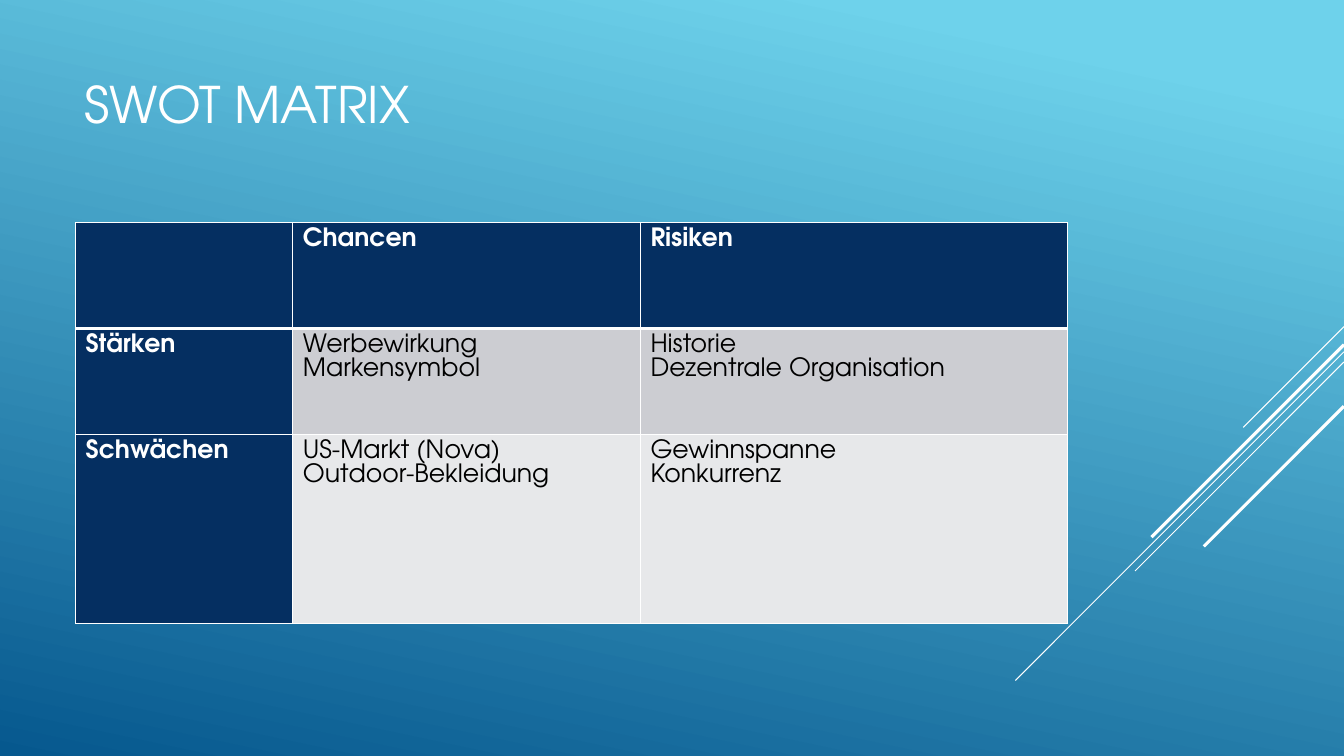
from lxml import etree
from pptx import Presentation
from pptx.dml.color import RGBColor
from pptx.enum.shapes import MSO_CONNECTOR
from pptx.enum.text import MSO_ANCHOR, MSO_AUTO_SIZE, PP_ALIGN
from pptx.oxml.ns import qn
from pptx.util import Pt

STRAIGHT = MSO_CONNECTOR.STRAIGHT
MIDDLE = MSO_ANCHOR.MIDDLE
NO_AUTOFIT = MSO_AUTO_SIZE.NONE
LEFT = PP_ALIGN.LEFT

FONT = "TeX Gyre Adventor"
WHITE, BLACK, NAVY = "FFFFFF", "000000", "052F61"
ROW_FILLS = [NAVY, "CCCDD2", "E7E8EA"]
SLIDE_WIDTH, SLIDE_HEIGHT = 960, 540

DIAGONALS = [
    (233.3, 72, 0.75),
    (251.3, 234.7, 0.75),
    (258.6, 149.2, 0.75),
    (246.2, 137.5, 2.25),
    (290.2, 100.1, 2.25),
]
COLUMN_WIDTHS = [155.2, 248.3, 305]
ROW_HEIGHTS = [75.6, 75.6, 135.2]
SWOT = [
    ["", "Chancen", "Risiken"],
    ["Stärken", "Werbewirkung\nMarkensymbol", "Historie\nDezentrale Organisation"],
    ["Schwächen", "US-Markt (Nova)\nOutdoor-Bekleidung", "Gewinnspanne\nKonkurrenz"],
]


def color(hex_code):
    return RGBColor.from_string(hex_code)


def format_text(frame, size, hex_code, bold=False):
    for paragraph in frame.paragraphs:
        paragraph.alignment = LEFT
        for run in paragraph.runs:
            run.font.name = FONT
            run.font.size = Pt(size)
            run.font.bold = bold
            run.font.color.rgb = color(hex_code)


def paint_background(slide):
    fill = slide.background.fill
    fill.gradient()
    fill.gradient_angle = 258
    stops = [(0.1, "6ED2EB"), (1, "06588E")]
    for stop, (position, hex_code) in zip(fill.gradient_stops, stops):
        stop.position = position
        stop.color.rgb = color(hex_code)


def add_diagonal(slide, top, length, weight):
    diagonal = slide.shapes.add_connector(
        STRAIGHT, Pt(SLIDE_WIDTH), Pt(top), Pt(SLIDE_WIDTH - length), Pt(top + length)
    )
    diagonal.line.color.rgb = color(WHITE)
    diagonal.line.width = Pt(weight)
    etree.SubElement(diagonal._element.spPr, qn("a:effectLst"))


def set_title(slide, text):
    title = slide.shapes.title
    title.left, title.top = Pt(53.3), Pt(14.4)
    title.width, title.height = Pt(671.8), Pt(118.8)
    frame = title.text_frame
    frame.text = text
    frame.word_wrap = True
    frame.auto_size = NO_AUTOFIT
    frame.vertical_anchor = MIDDLE
    format_text(frame, 36, WHITE)


def set_border(cell, side, weight):
    properties = cell._tc.get_or_add_tcPr()
    border = etree.SubElement(properties, qn(f"a:ln{side}"), w=str(Pt(weight)))
    fill = etree.SubElement(border, qn("a:solidFill"))
    etree.SubElement(fill, qn("a:srgbClr"), val=WHITE)


def fill_cell(cell, text, row, column):
    is_header = row == 0 or column == 0
    heavy_side = {0: "B", 1: "T"}.get(row)
    for side in "LRTB":
        set_border(cell, side, 3 if side == heavy_side else 1)
    cell.fill.solid()
    cell.fill.fore_color.rgb = color(NAVY if is_header else ROW_FILLS[row])
    cell.text_frame.text = text
    format_text(cell.text_frame, 18, WHITE if is_header else BLACK, is_header)
    for paragraph in cell.text_frame.paragraphs:
        paragraph.line_spacing = Pt(17.1)


def add_matrix(slide):
    matrix = slide.shapes.add_table(
        len(SWOT), len(SWOT[0]), Pt(54), Pt(159.1),
        Pt(sum(COLUMN_WIDTHS)), Pt(sum(ROW_HEIGHTS)),
    ).table
    matrix.first_col = True
    matrix.horz_banding = False
    for column, width in zip(matrix.columns, COLUMN_WIDTHS):
        column.width = Pt(width)
    for row, height in zip(matrix.rows, ROW_HEIGHTS):
        row.height = Pt(height)
    for row, texts in enumerate(SWOT):
        for column, text in enumerate(texts):
            fill_cell(matrix.cell(row, column), text, row, column)


def main():
    presentation = Presentation()
    presentation.slide_width = Pt(SLIDE_WIDTH)
    presentation.slide_height = Pt(SLIDE_HEIGHT)
    slide = presentation.slides.add_slide(presentation.slide_layouts[5])
    paint_background(slide)
    for top, length, weight in DIAGONALS:
        add_diagonal(slide, top, length, weight)
    add_matrix(slide)
    set_title(slide, "SWOT MATRIX")
    presentation.save("out.pptx")


if __name__ == "__main__":
    main()
